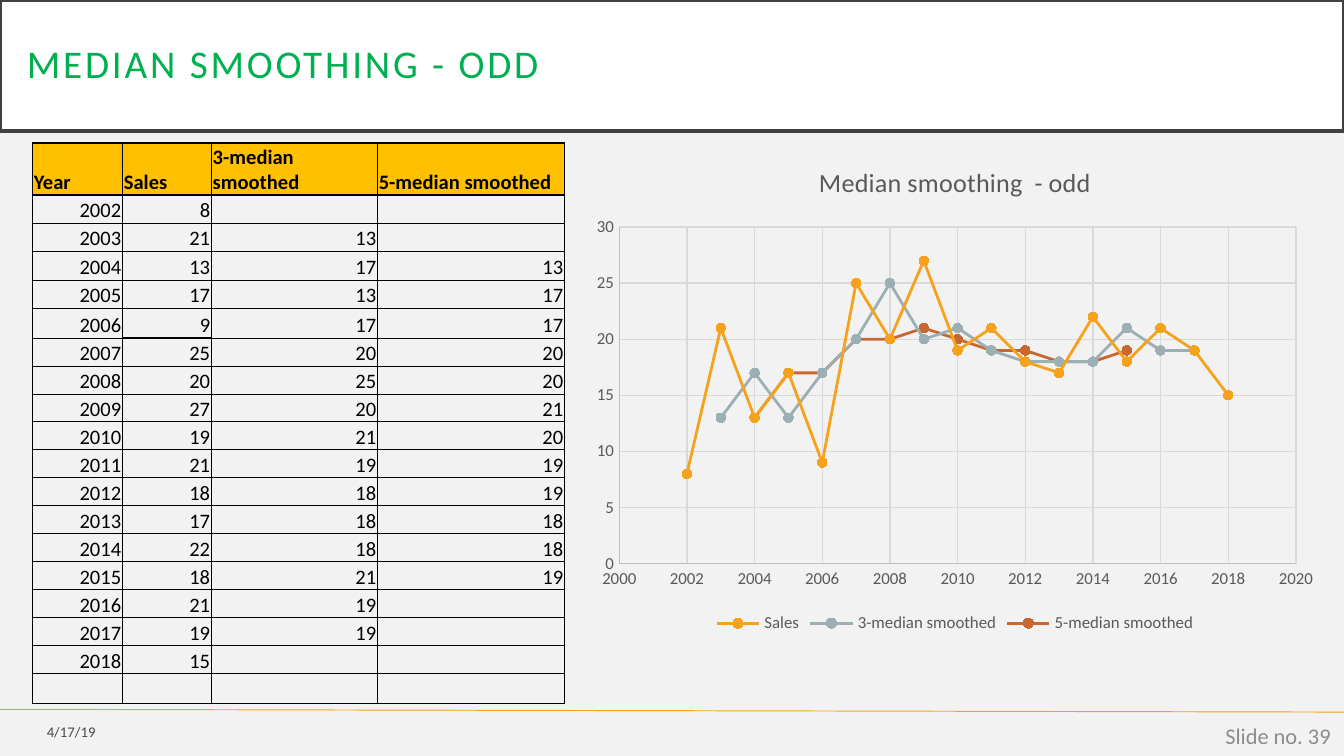
from dataclasses import dataclass

from lxml.etree import SubElement
from pptx import Presentation
from pptx.chart.data import XyChartData
from pptx.dml.color import RGBColor
from pptx.enum.chart import XL_CHART_TYPE as ChartType, XL_LEGEND_POSITION as LegendPosition
from pptx.enum.chart import XL_MARKER_STYLE as MarkerStyle, XL_TICK_MARK as TickMark
from pptx.enum.shapes import MSO_CONNECTOR as Connector
from pptx.enum.text import MSO_ANCHOR as Anchor, MSO_AUTO_SIZE as AutoSize, PP_ALIGN as Align
from pptx.oxml.ns import qn
from pptx.util import Pt


@dataclass(frozen=True)
class Theme:
    font: str = "Calibri"
    background: str = "F2F2F2"
    band: str = "FFFFFF"
    band_edge: str = "404040"
    heading: str = "00B050"
    ink: str = "000000"
    header: str = "FFC000"
    page_number: str = "8C8C8C"
    chart_text: str = "595959"
    axis: str = "BFBFBF"
    grid: str = "D9D9D9"
    accents: tuple = ("F6A21D", "9BAFB5", "C96731")
    heading_size: float = 21
    chart_title_size: float = 14
    page_size: float = 12
    table_size: float = 11
    label_size: float = 9
    date_size: float = 7.9


THEME = Theme()
FIRST_YEAR = 2002
SALES = [8, 21, 13, 17, 9, 25, 20, 27, 19, 21, 18, 17, 22, 18, 21, 19, 15]
MEDIANS_OF_3 = [13, 17, 13, 17, 20, 25, 20, 21, 19, 18, 18, 18, 21, 19, 19]
MEDIANS_OF_5 = [13, 17, 17, 20, 20, 21, 20, 19, 19, 18, 18, 19]
YEARS = range(FIRST_YEAR, FIRST_YEAR + len(SALES))
MEASURES = {
    "Sales": dict(enumerate(SALES, FIRST_YEAR)),
    "3-median smoothed": dict(enumerate(MEDIANS_OF_3, FIRST_YEAR + 1)),
    "5-median smoothed": dict(enumerate(MEDIANS_OF_5, FIRST_YEAR + 2)),
}


def apply(target, **values):
    for name, value in values.items():
        setattr(target, name, value)


def paint(fill, color):
    fill.solid()
    fill.fore_color.rgb = RGBColor.from_string(color)


def style_line(line, color, width):
    paint(line.fill, color)
    line.width = Pt(width)


def style_font(font, size, color, bold=False):
    apply(font, name=THEME.font, size=Pt(size), bold=bold)
    paint(font.fill, color)


def place(box):
    return [Pt(length) for length in box]


def add_heading(slide, box, text):
    heading = slide.shapes.title
    left, top, width, height = place(box)
    apply(heading, left=left, top=top, width=width, height=height)
    paint(heading.fill, THEME.band)
    style_line(heading.line, THEME.band_edge, 2.5)
    inset = Pt(14.4)
    apply(heading.text_frame, text=text, word_wrap=True, auto_size=AutoSize.NONE,
          vertical_anchor=Anchor.MIDDLE, margin_left=inset, margin_right=inset,
          margin_top=inset, margin_bottom=inset)
    paragraph = heading.text_frame.paragraphs[0]
    apply(paragraph, alignment=Align.LEFT, line_spacing=0.9)
    style_font(paragraph.runs[0].font, THEME.heading_size, THEME.heading)
    paragraph.runs[0].font._element.set("spc", "150")


def add_footer_label(slide, box, text, size, color):
    label = slide.shapes.add_textbox(*place(box))
    apply(label.text_frame, text=text, word_wrap=True, vertical_anchor=Anchor.MIDDLE)
    paragraph = label.text_frame.paragraphs[0]
    paragraph.alignment = Align.RIGHT
    style_font(paragraph.runs[0].font, size, color)
    return paragraph.runs[0].font


def add_footer(slide, box):
    left, top, width, height = box
    rule = slide.shapes.add_connector(
        Connector.STRAIGHT, *place((left, top, left + width, top + 1.5)))
    style_line(rule.line, THEME.accents[0], 0.5)
    SubElement(rule._element.spPr, qn("a:effectLst"))
    date = add_footer_label(slide, (left, top + 2.3, 58.3, 19.4), "4/17/19",
                            THEME.date_size, THEME.ink)
    SubElement(next(date._element.iter(qn("a:srgbClr"))), qn("a:alpha"), val="70000")
    add_footer_label(slide, (left + width - 162, top + 3.4, 162, 21.6), "Slide no. 39",
                     THEME.page_size, THEME.page_number)


def add_borders(cell, row, column, last_row, last_column):
    def heavy_vertical(edge):
        return edge in (0, last_column + 1) or (1 <= row <= 5 and edge <= 2)

    def heavy_horizontal(edge):
        return edge in (0, 1, last_row + 1) or (column == 1 and edge in (4, 6))

    sides = {"L": heavy_vertical(column), "R": heavy_vertical(column + 1),
             "T": heavy_horizontal(row), "B": heavy_horizontal(row + 1)}
    properties = cell._tc.get_or_add_tcPr()
    for side, heavy in sides.items():
        border = SubElement(properties, qn(f"a:ln{side}"), w=str(Pt(1 if heavy else 0.5)))
        SubElement(SubElement(border, qn("a:solidFill")), qn("a:srgbClr"), val=THEME.ink)


def fill_cell(cell, text, is_header):
    apply(cell, text=text, vertical_anchor=Anchor.BOTTOM, margin_left=Pt(0.7),
          margin_right=Pt(0.7), margin_top=Pt(0.7), margin_bottom=0)
    paragraph = cell.text_frame.paragraphs[0]
    paragraph.alignment = Align.LEFT if is_header else Align.RIGHT
    for run in paragraph.runs:
        style_font(run.font, THEME.table_size, THEME.ink, is_header)
    if not text:
        SubElement(paragraph._p, qn("a:endParaRPr"), sz=str(THEME.table_size * 100))
    if is_header:
        paint(cell.fill, THEME.header)
    else:
        cell.fill.background()


def add_sales_table(slide, box):
    rows = [["Year", *MEASURES]]
    rows += [[str(year), *(str(values.get(year, "")) for values in MEASURES.values())]
             for year in YEARS]
    rows.append([""] * len(rows[0]))
    table = slide.shapes.add_table(len(rows), len(rows[0]), *place(box)).table
    apply(table, first_row=False, horz_banding=False)
    for column, width in zip(table.columns, (48.2, 47.6, 89, 100.2)):
        column.width = Pt(width)
    special_heights = {0: 28, 3: 15.8, 5: 15.8, len(rows) - 1: 15.8}
    for index, texts in enumerate(rows):
        table.rows[index].height = Pt(special_heights.get(index, 15))
        for column, text in enumerate(texts):
            cell = table.cell(index, column)
            add_borders(cell, index, column, len(rows) - 1, len(texts) - 1)
            fill_cell(cell, text, index == 0)


def style_axis(axis, low, high, step):
    apply(axis, minimum_scale=low, maximum_scale=high, major_unit=step,
          major_tick_mark=TickMark.NONE, minor_tick_mark=TickMark.NONE,
          has_major_gridlines=True)
    style_font(axis.tick_labels.font, THEME.label_size, THEME.chart_text)
    style_line(axis.format.line, THEME.axis, 0.75)
    style_line(axis.major_gridlines.format.line, THEME.grid, 0.75)


def drop_blank_points(chart):
    for point in list(chart._chartSpace.iter(qn("c:pt"))):
        if point.findtext(qn("c:v")) == "None":
            point.getparent().remove(point)


def add_sales_chart(slide, box):
    data = XyChartData()
    for name, values in MEASURES.items():
        series = data.add_series(name)
        for year in [*YEARS, None]:
            series.add_data_point(year, values.get(year))
    chart = slide.shapes.add_chart(ChartType.XY_SCATTER_LINES, *place(box), data).chart
    drop_blank_points(chart)
    apply(chart.font, name=THEME.font, size=Pt(10))
    apply(chart, has_title=True, has_legend=True)
    chart.chart_title.text_frame.text = "Median smoothing  - odd"
    style_font(chart.chart_title.text_frame.paragraphs[0].runs[0].font,
               THEME.chart_title_size, THEME.chart_text)
    apply(chart.legend, position=LegendPosition.BOTTOM, include_in_layout=False)
    style_font(chart.legend.font, THEME.label_size, THEME.chart_text)
    style_axis(chart.category_axis, 2000, 2020, 2)
    style_axis(chart.value_axis, 0, 30, 5)
    chart.plots[0].vary_by_categories = False
    for series, color in zip(chart.plots[0].series, THEME.accents):
        series.smooth = False
        style_line(series.format.line, color, 1.5)
        apply(series.marker, style=MarkerStyle.CIRCLE, size=5)
        paint(series.marker.format.fill, color)
        style_line(series.marker.format.line, color, 0.75)


def main():
    deck = Presentation()
    apply(deck, slide_width=Pt(720), slide_height=Pt(405))
    slide = deck.slides.add_slide(deck.slide_layouts[5])
    paint(slide.background.fill, THEME.background)
    add_heading(slide, (0, 0, 720, 70.2), "MEDIAN SMOOTHING - ODD")
    add_footer(slide, (0, 380, 720, 25))
    add_sales_table(slide, (17.5, 76.5, 285, 300))
    add_sales_chart(slide, (311.8, 76.3, 399.6, 265.7))
    deck.save("out.pptx")


if __name__ == "__main__":
    main()
